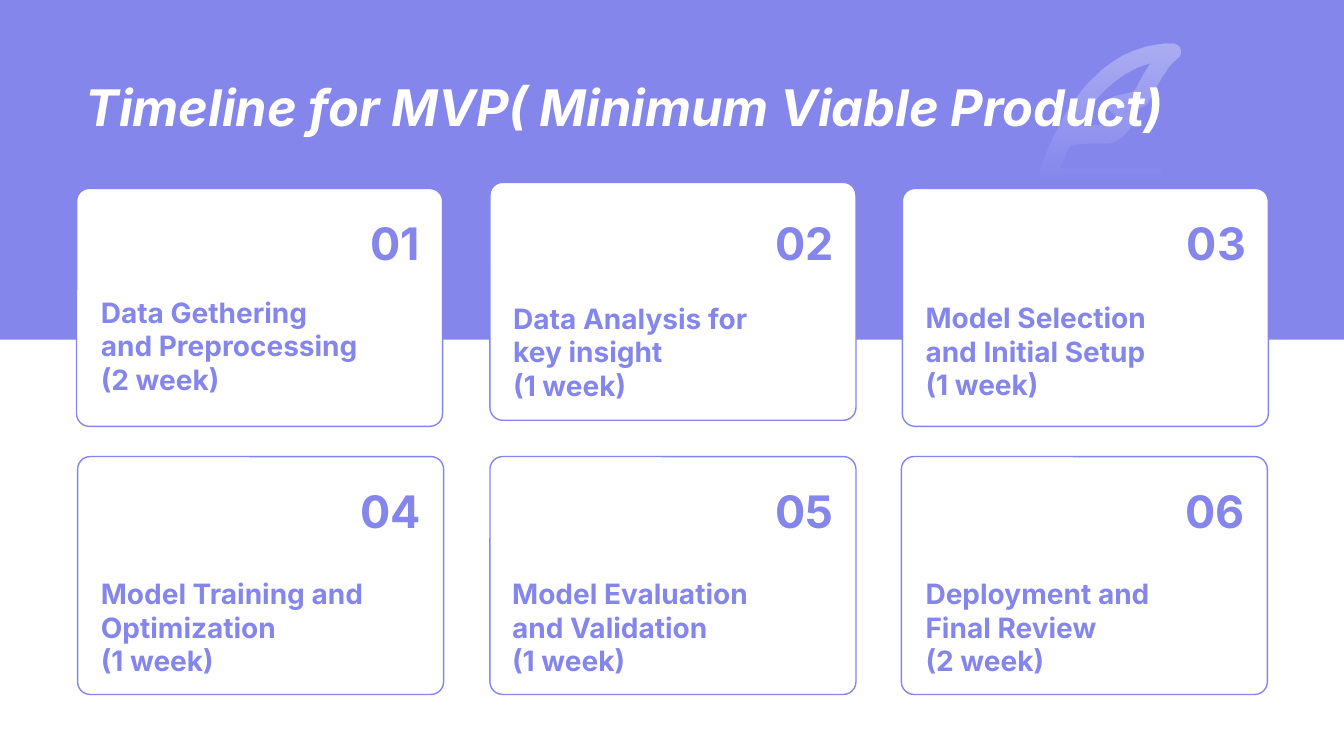
from dataclasses import dataclass

import lxml.etree
import pptx
import pptx.dml.color
import pptx.enum.shapes
import pptx.enum.text
import pptx.oxml.ns
import pptx.shapes.autoshape
import pptx.slide
import pptx.util

PX = 9144
FONT = "Inter"
PURPLE = pptx.dml.color.RGBColor(0x84, 0x86, 0xEC)
WHITE = pptx.dml.color.RGBColor(0xFF, 0xFF, 0xFF)
ANCHOR = pptx.enum.text.MSO_ANCHOR
ALIGN = pptx.enum.text.PP_ALIGN
SHAPE = pptx.enum.shapes.MSO_SHAPE

CARD_W, CARD_H = 363, 236


@dataclass(frozen=True)
class Card:
    """One step of the timeline, with lengths in px."""

    number: str
    task: str
    duration: str
    left: int
    top: int
    number_top: int
    task_left: int
    task_top: int
    task_w: int = 270
    task_h: int = 108


CARDS = [
    Card("01", "Data Gethering and Preprocessing", "(2 week)", 76, 187, 208, 100, 284, 257, 118),
    Card("02", "Data Analysis for key insight", "(1 week)", 486, 181, 208, 509, 295, 251),
    Card("03", "Model Selection and Initial Setup", "(1 week)", 895, 187, 208, 918, 294),
    Card("04", "Model Training and Optimization", "(1 week)", 77, 453, 474, 100, 568),
    Card("05", "Model Evaluation and Validation", "(1 week)", 486, 453, 474, 508, 568),
    Card("06", "Deployment and Final Review", "(2 week)", 894, 453, 474, 918, 568),
]

Segment = tuple[int, ...]

FEATHER: list[list[Segment]] = [
    [
        (1162, 43), (1170, 43, 1174, 53, 1167, 58), (1160, 64, 1156, 69, 1150, 80),
        (1148, 83), (1142, 94), (1141, 97, 1139, 99, 1138, 102),
        (1136, 105, 1132, 106, 1124, 108), (1124, 109), (1125, 110),
        (1127, 114, 1127, 117, 1125, 121), (1124, 122), (1115, 135, 1106, 142, 1096, 142),
        (1086, 142), (1068, 142, 1063, 143, 1061, 145), (1059, 148, 1055, 155, 1051, 166),
        (1146, 166), (1150, 166, 1153, 169, 1153, 174), (1153, 179),
        (1153, 180, 1152, 181, 1151, 181), (1033, 181), (1031, 181, 1030, 180, 1030, 179),
        (1030, 174), (1030, 173, 1030, 172, 1031, 171), (1031, 170, 1031, 170, 1031, 169),
        (1042, 138, 1056, 111, 1073, 89), (1097, 60, 1127, 43, 1162, 43),
    ],
    [
        (1140, 63), (1139, 63), (1111, 71, 1088, 92, 1070, 123), (1070, 125), (1071, 125),
        (1077, 124, 1082, 124, 1088, 124), (1096, 124), (1099, 124, 1102, 122, 1107, 116),
        (1107, 115), (1105, 113, 1104, 112, 1102, 111), (1101, 110),
        (1096, 105, 1099, 96, 1106, 95), (1110, 94, 1115, 93, 1120, 92), (1122, 91),
        (1123, 91, 1123, 91, 1124, 91), (1124, 90), (1126, 88), (1127, 86), (1128, 84),
        (1134, 73), (1136, 70, 1138, 66, 1140, 63),
    ],
]


def bend_lines(sp: pptx.shapes.autoshape.Shape, segments: list[Segment]) -> None:
    """Turn the straight segments that have control points into cubic curves."""
    qn = pptx.oxml.ns.qn
    for line, segment in zip(list(sp.element.iter(qn("a:lnTo"))), segments):
        if len(segment) == 2:
            continue
        curve = lxml.etree.Element(qn("a:cubicBezTo"))
        for x, y in zip(segment[::2], segment[1::2]):
            pt = lxml.etree.SubElement(curve, qn("a:pt"))
            pt.set("x", str(x * PX - sp.left))
            pt.set("y", str(y * PX - sp.top))
        line.getparent().replace(line, curve)


def add_feather(s: pptx.slide.Slide) -> None:
    """Draw the feather that fades out downwards."""
    start_x, start_y = FEATHER[0][0]
    builder = s.shapes.build_freeform(start_x, start_y, scale=PX)
    for contour in FEATHER:
        if contour is not FEATHER[0]:
            builder.move_to(*contour[0])
        builder.add_line_segments([segment[-2:] for segment in contour[1:]])
    sp = builder.convert_to_shape()
    qn = pptx.oxml.ns.qn
    outline = next(sp.element.iter(qn("a:path")))
    outline.set("w", str(sp.width))
    outline.set("h", str(sp.height))
    for pt in outline.iter(qn("a:pt")):
        for axis in ("x", "y"):
            pt.set(axis, str(int(pt.get(axis)) * PX))
    bend_lines(sp, [segment for contour in FEATHER for segment in contour[1:]])
    sp.shadow.inherit = False
    sp.line.fill.background()
    sp.fill.gradient()
    sp.fill.gradient_angle = 270
    for stop in sp.fill.gradient_stops:
        stop.color.rgb = WHITE
    for gs, alpha in zip(sp.element.iter(qn("a:gs")), (33000, 0)):
        lxml.etree.SubElement(gs[0], qn("a:alpha")).set("val", str(alpha))


def add_box(s: pptx.slide.Slide, kind: pptx.enum.shapes.MSO_SHAPE, left: int, top: int,
            width: int, height: int,
            fill: pptx.dml.color.RGBColor) -> pptx.shapes.autoshape.Shape:
    """Add a filled shape without outline or shadow."""
    sp = s.shapes.add_shape(kind, left * PX, top * PX, width * PX, height * PX)
    sp.shadow.inherit = False
    sp.fill.solid()
    sp.fill.fore_color.rgb = fill
    sp.line.fill.background()
    return sp


def add_text(s: pptx.slide.Slide, lines: list[str], left: int, top: int, width: int,
             height: int, size: int, color: pptx.dml.color.RGBColor = PURPLE,
             anchor: pptx.enum.text.MSO_ANCHOR = ANCHOR.MIDDLE,
             align: pptx.enum.text.PP_ALIGN = ALIGN.LEFT,
             wrap: bool = True, italic: bool = False) -> None:
    """Add a bold text box with one paragraph per line."""
    sp = s.shapes.add_textbox(left * PX, top * PX, width * PX, height * PX)
    tf = sp.text_frame
    tf.word_wrap = wrap
    tf.vertical_anchor = anchor
    tf.margin_left = tf.margin_top = tf.margin_right = tf.margin_bottom = 0
    for i, line in enumerate(lines):
        p = tf.add_paragraph() if i else tf.paragraphs[0]
        p.alignment = align
        r = p.add_run()
        r.text = line
        r.font.name = FONT
        r.font.size = pptx.util.Pt(size)
        r.font.bold = True
        r.font.italic = italic
        r.font.color.rgb = color


def add_card(s: pptx.slide.Slide, card: Card) -> None:
    """Draw a card with its number, task and duration."""
    sp = add_box(s, SHAPE.ROUNDED_RECTANGLE, card.left, card.top, CARD_W, CARD_H, WHITE)
    sp.adjustments[0] = 0.053
    sp.line.color.rgb = PURPLE
    sp.line.width = pptx.util.Pt(1)
    add_text(s, [card.task, card.duration], card.task_left, card.task_top,
             card.task_w, card.task_h, 20)
    add_text(s, [card.number], card.left + 261, card.number_top, 80, 65, 32,
             align=ALIGN.RIGHT, wrap=False)


def main() -> None:
    """Build the timeline slide and save it."""
    prs = pptx.Presentation()
    prs.slide_width = pptx.util.Inches(13.33)
    prs.slide_height = pptx.util.Inches(7.5)
    s = prs.slides.add_slide(prs.slide_layouts[6])
    add_box(s, SHAPE.RECTANGLE, 0, 0, 1333, 337, PURPLE)
    add_feather(s)
    add_text(s, ["Timeline for MVP( Minimum Viable Product)"], 85, 39, 1181, 97, 36,
             color=WHITE, anchor=ANCHOR.BOTTOM, italic=True)
    for card in CARDS:
        add_card(s, card)
    prs.save("out.pptx")


if __name__ == "__main__":
    main()
